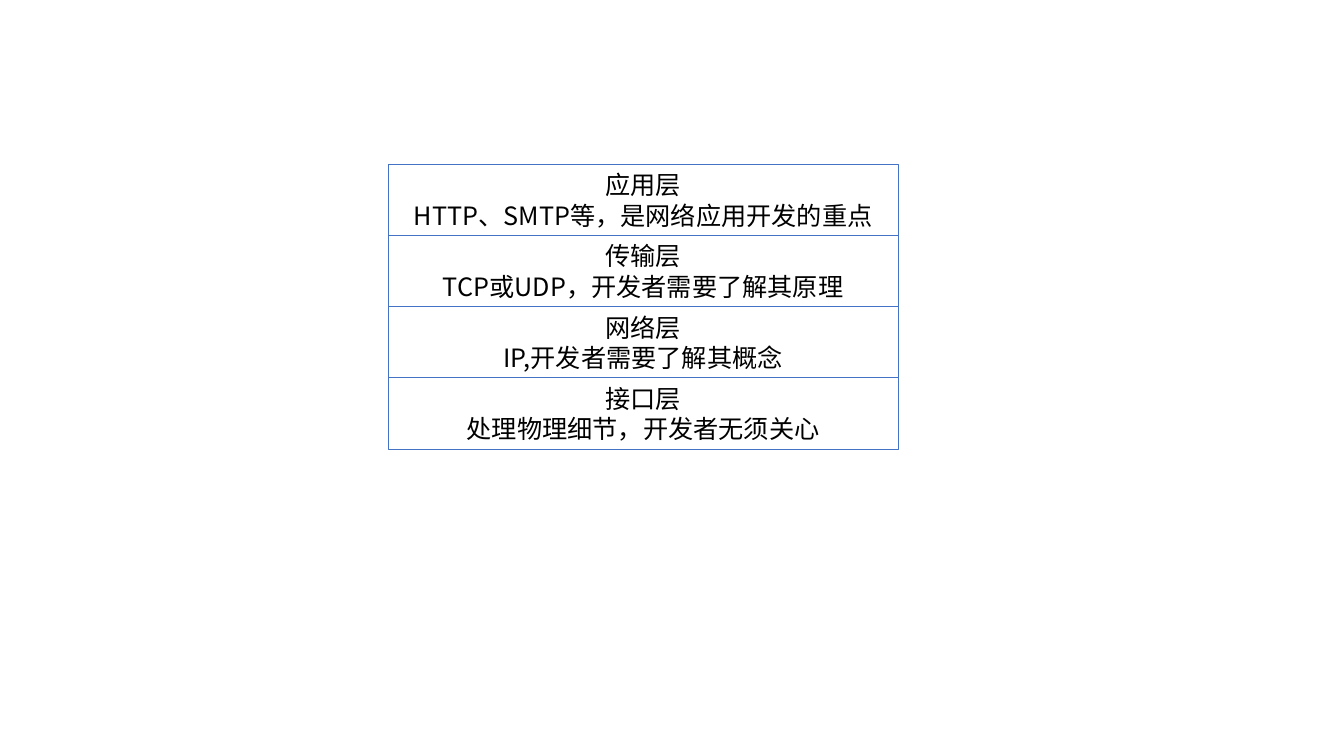
from lxml.etree import SubElement
from pptx import Presentation
from pptx.dml.color import RGBColor
from pptx.enum.shapes import MSO_SHAPE
from pptx.enum.text import MSO_ANCHOR, MSO_AUTO_SIZE, PP_ALIGN
from pptx.oxml.ns import qn
from pptx.util import Pt

FONT = "Noto Sans CJK SC"
STACK_LEFT, STACK_TOP = 277.2, 117.2
LAYER_WIDTH, LAYER_HEIGHT = 364.4, 50.9

LAYERS = [
    ("应用层", "HTTP、SMTP等，是网络应用开发的重点"),
    ("传输层", "TCP或UDP，开发者需要了解其原理"),
    ("网络层", "IP,开发者需要了解其概念"),
    ("接口层", "处理物理细节，开发者无须关心"),
]

FRAME_FORMAT = {
    "word_wrap": True,
    "auto_size": MSO_AUTO_SIZE.SHAPE_TO_FIT_TEXT,
    "vertical_anchor": MSO_ANCHOR.MIDDLE,
    "margin_left": Pt(7.2),
    "margin_right": Pt(7.2),
    "margin_top": Pt(3.6),
    "margin_bottom": Pt(3.6),
}
PARAGRAPH_FORMAT = {"alignment": PP_ALIGN.CENTER, "line_spacing": Pt(21.8)}
FONT_FORMAT = {"name": FONT, "size": Pt(18)}


def set_color(color_format, hex_color):
    """Give a colour format the colour of a hex string."""
    color_format.rgb = RGBColor.from_string(hex_color)


def apply_format(target, values):
    """Set every attribute of the dict on the target."""
    for name, value in values.items():
        setattr(target, name, value)


def write_line(paragraph, text):
    """Write one centred line of layer text."""
    apply_format(paragraph, PARAGRAPH_FORMAT)
    run = paragraph.add_run()
    run.text = text
    apply_format(run.font, FONT_FORMAT)
    set_color(run.font.color, "000000")
    SubElement(run.font._element, qn("a:ea"), typeface=FONT)


def add_layer(slide, top, lines):
    """Add one outlined protocol layer with its lines of text."""
    shape = slide.shapes.add_shape(
        MSO_SHAPE.RECTANGLE,
        Pt(STACK_LEFT), Pt(top), Pt(LAYER_WIDTH), Pt(LAYER_HEIGHT),
    )
    shape.shadow.inherit = False
    shape.fill.background()
    set_color(shape.line.color, "4472C4")
    shape.line.width = Pt(0.75)
    frame = shape.text_frame
    apply_format(frame, FRAME_FORMAT)
    for index, text in enumerate(lines):
        paragraph = frame.add_paragraph() if index else frame.paragraphs[0]
        write_line(paragraph, text)


def main():
    """Build the slide with the stack of network layers."""
    presentation = Presentation()
    presentation.slide_width, presentation.slide_height = Pt(960), Pt(540)
    slide = presentation.slides.add_slide(presentation.slide_layouts[6])
    for index, lines in enumerate(LAYERS):
        add_layer(slide, STACK_TOP + index * LAYER_HEIGHT, lines)
    presentation.save("out.pptx")


main()
